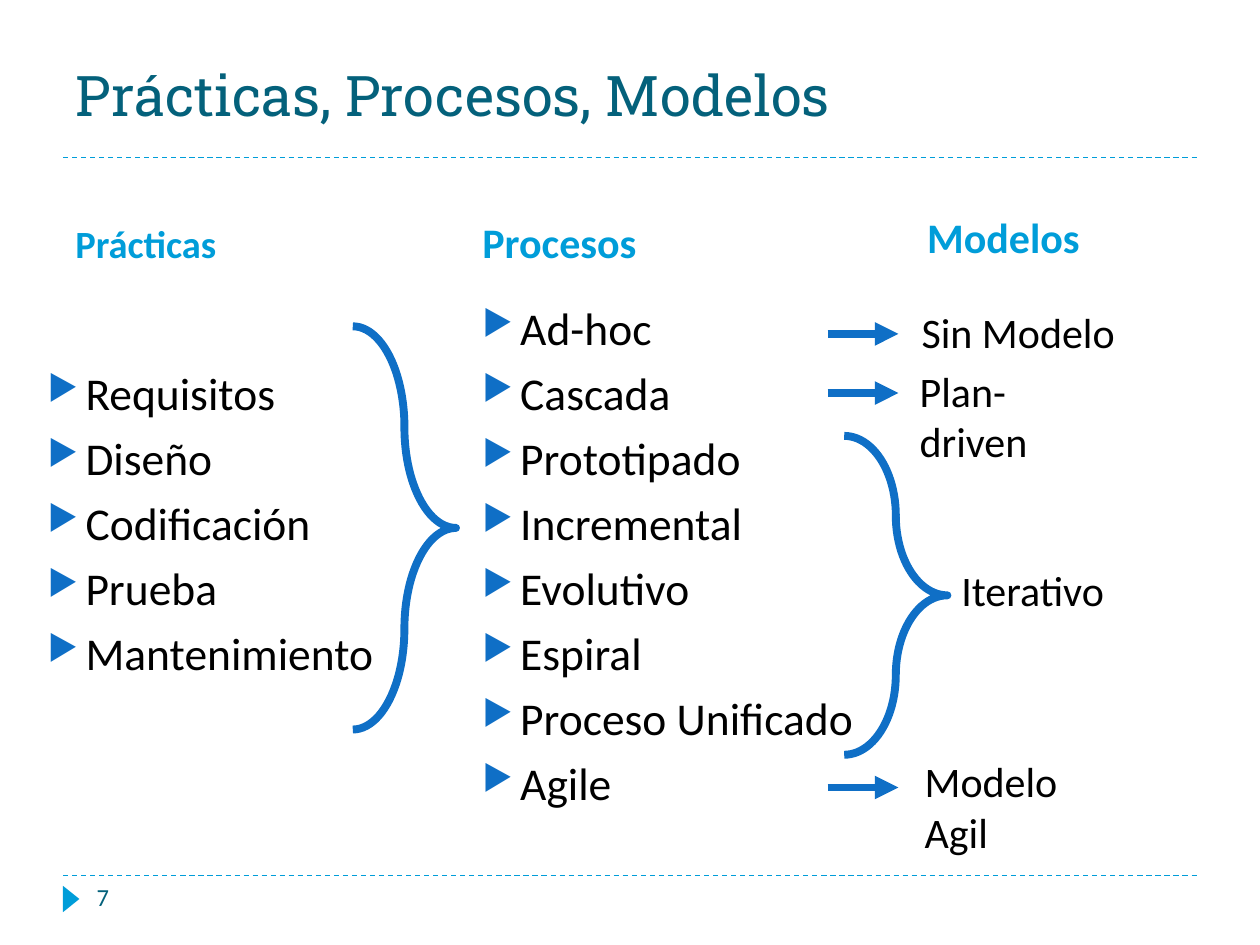
import pptx
import pptx.dml.color
import pptx.enum.dml
import pptx.enum.shapes
import pptx.enum.text
import pptx.oxml.ns
import pptx.util
from lxml import etree

Pt = pptx.util.Pt
qn = pptx.oxml.ns.qn
rgb = pptx.dml.color.RGBColor.from_string
MSO_SHAPE = pptx.enum.shapes.MSO_SHAPE
STRAIGHT = pptx.enum.shapes.MSO_CONNECTOR.STRAIGHT
TOP = pptx.enum.text.MSO_ANCHOR.TOP
MIDDLE = pptx.enum.text.MSO_ANCHOR.MIDDLE
BOTTOM = pptx.enum.text.MSO_ANCHOR.BOTTOM


class Theme:
    title_font, body_font = "Roboto Slab", "Calibri"
    dark, accent, blue, black = "04617B", "009DD9", "0F6FC6", "000000"
    title, item, model, heading, small_heading, number = 32, 26, 24, 24, 22, 14
    thin, thick = 0.75, 4.5


def write(sp, text, size, color=Theme.black, font=Theme.body_font, bold=False,
          anchor=TOP, before=0, bullets=False):
    """Fill a shape with text, one paragraph per line."""
    tf = sp.text_frame
    tf.auto_size = pptx.enum.text.MSO_AUTO_SIZE.NONE
    tf.word_wrap = True
    tf.vertical_anchor = anchor
    for i, line in enumerate(text.split("\n")):
        p = tf.paragraphs[0] if i == 0 else tf.add_paragraph()
        p.alignment = pptx.enum.text.PP_ALIGN.LEFT
        p.space_before = Pt(before)
        r = p.add_run()
        r.text = line
        r.font.name, r.font.size, r.font.bold = font, Pt(size), bold
        r.font.color.rgb = rgb(color)
        if bullets:
            pPr = p._p.get_or_add_pPr()
            pPr.set("marL", str(Pt(21.6)))
            pPr.set("indent", str(-Pt(21.6)))
            clr = etree.SubElement(pPr, qn("a:buClr"))
            etree.SubElement(clr, qn("a:srgbClr"), val=Theme.blue)
            etree.SubElement(pPr, qn("a:buSzPct"), val="76000")
            etree.SubElement(pPr, qn("a:buChar"), char="▶")


def add_line(x1, x2, y, color, width):
    """Draw a horizontal connector without shadow."""
    c = s.shapes.add_connector(STRAIGHT, Pt(x1), Pt(y), Pt(x2), Pt(y))
    c.line.color.rgb = rgb(color)
    c.line.width = Pt(width)
    etree.SubElement(c._element.spPr, qn("a:effectLst"))
    return c


prs = pptx.Presentation()
prs.slide_width, prs.slide_height = Pt(720), Pt(540)
s = prs.slides.add_slide(prs.slide_layouts[5])

# Dashed rules above and below the content
for y in (500.4, 90):
    c = add_line(36, 684, y, Theme.accent, Theme.thin)
    c.line.dash_style = pptx.enum.dml.MSO_LINE.DASH

# Page marker and number
sp = s.shapes.add_shape(MSO_SHAPE.ISOSCELES_TRIANGLE, Pt(33.1), Pt(509), Pt(15.1), Pt(9.4))
sp.rotation = 90
sp.shadow.inherit = False
sp.fill.solid()
sp.fill.fore_color.rgb = rgb(Theme.accent)
sp.line.fill.background()
sp = s.shapes.add_textbox(Pt(48.2), Pt(500.4), Pt(156), Pt(28.8))
write(sp, "7", Theme.number, color=Theme.dark)

# Title
sp = s.shapes.title
sp.left, sp.top, sp.width, sp.height = Pt(36), Pt(18), Pt(648), Pt(72)
write(sp, "Prácticas, Procesos, Modelos", Theme.title, color=Theme.dark,
      font=Theme.title_font, anchor=MIDDLE)

# Column headings
for text, x, y, w, size in (
    ("Prácticas", 36, 101.5, 182, Theme.small_heading),
    ("Procesos", 268.6, 102.2, 255, Theme.heading),
    ("Modelos", 522.7, 99.4, 170, Theme.heading),
):
    sp = s.shapes.add_textbox(Pt(x), Pt(y), Pt(w), Pt(54))
    write(sp, text, size, color=Theme.accent, bold=True, anchor=BOTTOM, before=6)

# Bulleted lists; the practices start one line lower
line_pitch = 37.2
practices = "Requisitos\nDiseño\nCodificación\nPrueba\nMantenimiento"
processes = ("Ad-hoc\nCascada\nPrototipado\nIncremental\nEvolutivo\nEspiral\n"
             "Proceso Unificado\nAgile")
for text, x, skipped in ((practices, 20.2, 1), (processes, 268.6, 0)):
    offset = skipped * line_pitch
    sp = s.shapes.add_textbox(Pt(x), Pt(167.8 + offset), Pt(318), Pt(318 - offset))
    write(sp, text, Theme.item, before=6, bullets=True)

# Braces
for x, y, h in ((201.6, 186.5, 230.4), (482.4, 249.1, 182.2)):
    sp = s.shapes.add_shape(MSO_SHAPE.RIGHT_BRACE, Pt(x), Pt(y), Pt(59), Pt(h))
    sp.adjustments[0] = 1.21
    sp.shadow.inherit = False
    sp.fill.background()
    sp.line.color.rgb = rgb(Theme.blue)
    sp.line.width = Pt(Theme.thick)

# Arrows from processes to models
for y in (190.8, 224.6, 450):
    c = add_line(473, 513.4, y, Theme.blue, Theme.thick)
    etree.SubElement(c.line._get_or_add_ln(), qn("a:tailEnd"), type="triangle")

# Models
for text, x, y, w in (
    ("Sin Modelo", 519.5, 171.4, 140),
    ("Plan-driven", 518.4, 205.2, 110),
    ("Iterativo", 542.2, 319, 110),
    ("Modelo Agil", 521.3, 428.4, 110),
):
    sp = s.shapes.add_textbox(Pt(x), Pt(y), Pt(w), Pt(36))
    write(sp, text, Theme.model)

prs.save("out.pptx")
